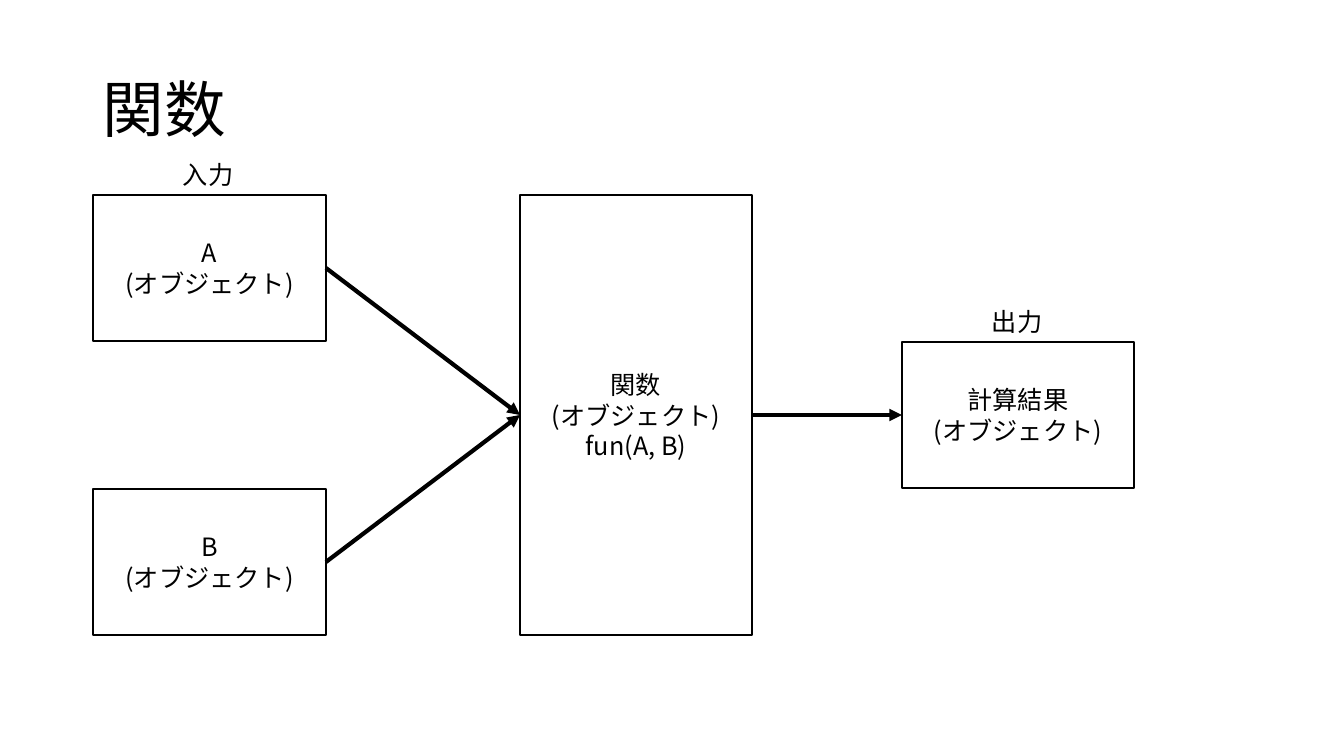
from lxml import etree
from pptx import Presentation
from pptx.dml.color import RGBColor
from pptx.enum.shapes import MSO_CONNECTOR, MSO_SHAPE
from pptx.enum.text import MSO_ANCHOR, PP_ALIGN
from pptx.oxml.ns import qn
from pptx.util import Pt

RECTANGLE = MSO_SHAPE.RECTANGLE
STRAIGHT = MSO_CONNECTOR.STRAIGHT
TOP, MIDDLE = MSO_ANCHOR.TOP, MSO_ANCHOR.MIDDLE
LEFT, CENTER = PP_ALIGN.LEFT, PP_ALIGN.CENTER
LEFT_SITE, RIGHT_SITE = 1, 3
FONT = "Noto Sans CJK JP"
BLACK = "000000"
SCALE = 914400 / 100.8


def px(*lengths):
    return [round(length * SCALE) for length in lengths]


def write_text(shape, text, size=18, color=BLACK, align=LEFT, anchor=TOP, spacing=None, wrap=True):
    frame = shape.text_frame
    frame.word_wrap = wrap
    frame.vertical_anchor = anchor
    frame.text = text
    for paragraph in frame.paragraphs:
        paragraph.alignment = align
        paragraph.line_spacing = spacing
        for run in paragraph.runs:
            run.font.name = FONT
            run.font.size = Pt(size)
            run.font.color.rgb = RGBColor.from_string(color)
            east_asian = etree.SubElement(run.font._element, qn("a:ea"))
            east_asian.set("typeface", FONT)


presentation = Presentation()
presentation.slide_width, presentation.slide_height = px(1344, 756)
slide = presentation.slides.add_slide(presentation.slide_layouts[6])

title = slide.shapes.add_textbox(*px(93, 40, 1159, 146))
write_text(title, "関数", size=44, anchor=MIDDLE, spacing=0.9)

boxes = {}
for name, text, left, top, width, height in [
    ("input_b", "B\n(オブジェクト)", 93, 489, 233, 146),
    ("input_a", "A\n(オブジェクト)", 93, 195, 233, 146),
    ("function", "関数\n(オブジェクト)\nfun(A, B)", 520, 195, 232, 440),
    ("result", "計算結果\n(オブジェクト)", 902, 342, 232, 146),
]:
    box = slide.shapes.add_shape(RECTANGLE, *px(left, top, width, height))
    box.shadow.inherit = False
    box.fill.background()
    box.line.color.rgb = RGBColor.from_string(BLACK)
    box.line.width = Pt(1)
    write_text(box, text, align=CENTER, anchor=MIDDLE)
    boxes[name] = box

for source, target in [("input_a", "function"), ("input_b", "function"), ("function", "result")]:
    arrow = slide.shapes.add_connector(STRAIGHT, 0, 0, 0, 0)
    arrow.begin_connect(boxes[source], RIGHT_SITE)
    arrow.end_connect(boxes[target], LEFT_SITE)
    arrow.line.color.rgb = RGBColor.from_string(BLACK)
    arrow.line.width = Pt(3)
    etree.SubElement(arrow.line._get_or_add_ln(), qn("a:tailEnd")).set("type", "triangle")
    etree.SubElement(arrow._element.spPr, qn("a:effectLst"))

for text, left, top in [("入力", 173, 154), ("出力", 982, 301)]:
    label = slide.shapes.add_textbox(*px(left, top, 72, 40))
    write_text(label, text, wrap=False)

presentation.save("out.pptx")
